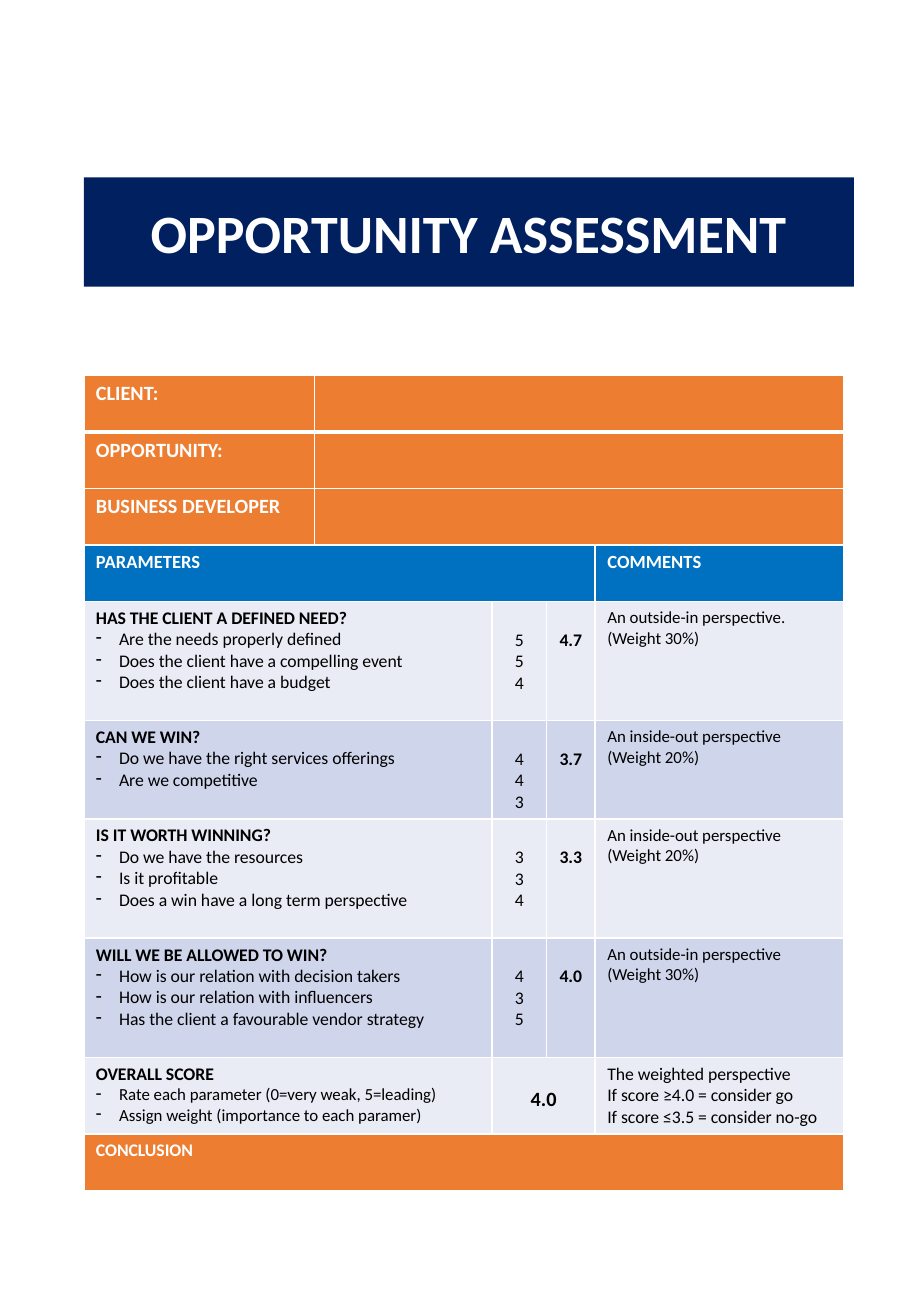
"""Build a one-page opportunity assessment form."""
from lxml.etree import SubElement as Sub
from pptx import Presentation as Deck
from pptx.dml.color import RGBColor as Color
from pptx.enum.text import MSO_ANCHOR as Anchor, PP_ALIGN as Align
from pptx.oxml.ns import qn
from pptx.util import Inches, Pt

NAVY, ORANGE, BLUE = "002060", "ED7D31", "0070C0"
LIGHT, DARK, WHITE, BLACK = "E9EBF5", "CFD5EA", "FFFFFF", "000000"
FONT = "Calibri"


def paint(fill, hue):
    fill.solid()
    fill.fore_color.rgb = Color.from_string(hue)


class Page:
    def __init__(self, deck):
        self.slide = deck.slides.add_slide(deck.slide_layouts[5])

    def style(self, para, size, hue, bold, align=Align.LEFT):
        para.alignment = align
        for run in para.runs:
            font = run.font
            font.name, font.size, font.bold = FONT, Pt(size), bold
            paint(font.fill, hue)

    def title(self, text, box, size):
        shape = self.slide.shapes.title
        shape.left, shape.top, shape.width, shape.height = map(Inches, box)
        paint(shape.fill, NAVY)
        frame = shape.text_frame
        frame.text = text
        frame.vertical_anchor = Anchor.MIDDLE
        self.style(frame.paragraphs[0], size, WHITE, True, Align.CENTER)

    def table(self, left, top, cols, rows):
        frame = self.slide.shapes.add_table(
            len(rows), len(cols), Inches(left), Inches(top),
            Inches(sum(cols)), Inches(sum(rows)))
        self.grid = frame.table
        self.grid.first_row = self.grid.horz_banding = False
        for col, width in zip(self.grid.columns, cols):
            col.width = Inches(width)
        for row, height in zip(self.grid.rows, rows):
            row.height = Inches(height)
        for row in range(len(rows)):
            for col in range(len(cols)):
                self.border(row, col)

    def border(self, row, col):
        props = self.grid.cell(row, col)._tc.get_or_add_tcPr()
        thick = {0: "B", 1: "T"}.get(row)
        for side in "LRTB":
            width = Pt(3 if side == thick else 1)
            line = Sub(props, qn("a:ln" + side), w=str(width))
            Sub(Sub(line, qn("a:solidFill")), qn("a:srgbClr"), val=WHITE)

    def cell(self, row, col, lines, hue, size=10.5, ink=BLACK, bold=False,
             span=1, align=Align.LEFT, top=0.05):
        cell = self.grid.cell(row, col)
        if span > 1:
            cell.merge(self.grid.cell(row, col + span - 1))
        paint(cell.fill, hue)
        cell.margin_top = Inches(top)
        cell.text_frame.text = "\n".join(lines)
        for para in cell.text_frame.paragraphs:
            self.style(para, size, ink, bold, align)
        return cell

    def band(self, row, col, text, hue, size, span=1):
        self.cell(row, col, [text], hue, size, WHITE, True, span)

    def topic(self, row, head, points, hue, size=10.5):
        cell = self.cell(row, 0, [head, *points], hue, size, span=2)
        first, *rest = cell.text_frame.paragraphs
        self.style(first, 10.5, BLACK, True)
        for para in rest:
            props = para._p.get_or_add_pPr()
            props.set("marL", str(Inches(0.19)))
            props.set("indent", str(-Inches(0.19)))
            Sub(props, qn("a:buChar"), char="-")

    def score(self, row, col, marks, hue, **look):
        self.cell(row, col, marks, hue, align=Align.CENTER,
                  **{"top": 0.23, **look})


TOPICS = [
    ("HAS THE CLIENT A DEFINED NEED?",
     ["Are the needs properly defined",
      "Does the client have a compelling event",
      "Does the client have a budget"],
     "554", "4.7", ["An outside-in perspective. (Weight 30%)"]),
    ("CAN WE WIN?",
     ["Do we have the right services offerings", "Are we competitive"],
     "443", "3.7", ["An inside-out perspective", "(Weight 20%)"]),
    ("IS IT WORTH WINNING?",
     ["Do we have the resources", "Is it profitable",
      "Does a win have a long term perspective"],
     "334", "3.3", ["An inside-out perspective", "(Weight 20%)"]),
    ("WILL WE BE ALLOWED TO WIN?",
     ["How is our relation with decision takers",
      "How is our relation with influencers",
      "Has the client a favourable vendor strategy"],
     "435", "4.0", ["An outside-in perspective", "(Weight 30%)"]),
]

deck = Deck()
deck.slide_width, deck.slide_height = Inches(7.5), Inches(10.83)
page = Page(deck)
page.title("OPPORTUNITY ASSESSMENT", (0.69, 1.46, 6.34, 0.9), 32)

bar = 1.86 / 4
page.table(0.69, 3.09, [1.9, 1.46, 0.45, 0.4, 2.05],
           [bar] * 4 + [0.98, 0.81, 0.98, 0.98, 0.63, bar])

for row, text in enumerate(["CLIENT:", "OPPORTUNITY:", "BUSINESS DEVELOPER"]):
    page.band(row, 0, text, ORANGE, 12)
    page.band(row, 1, "", ORANGE, 12, span=4)
page.band(3, 0, "PARAMETERS", BLUE, 11, span=4)
page.band(3, 4, "COMMENTS", BLUE, 11)

for row, (head, points, marks, mean, notes) in enumerate(TOPICS, 4):
    hue = DARK if row % 2 else LIGHT
    page.topic(row, head, points, hue)
    page.score(row, 2, marks, hue)
    page.score(row, 3, [mean], hue, bold=True)
    page.cell(row, 4, notes, hue, 10)

page.topic(8, "OVERALL SCORE",
           ["Rate each parameter (0=very weak, 5=leading)",
            "Assign weight (importance to each paramer)"], LIGHT, 10)
page.score(8, 2, ["4.0"], LIGHT, size=12, bold=True, span=2, top=0.25)
page.cell(8, 4, ["The weighted perspective", "If score ≥4.0 = consider go",
                 "If score ≤3.5 = consider no-go"], LIGHT)
page.band(9, 0, "CONCLUSION", ORANGE, 10.5, span=5)

deck.save("out.pptx")
